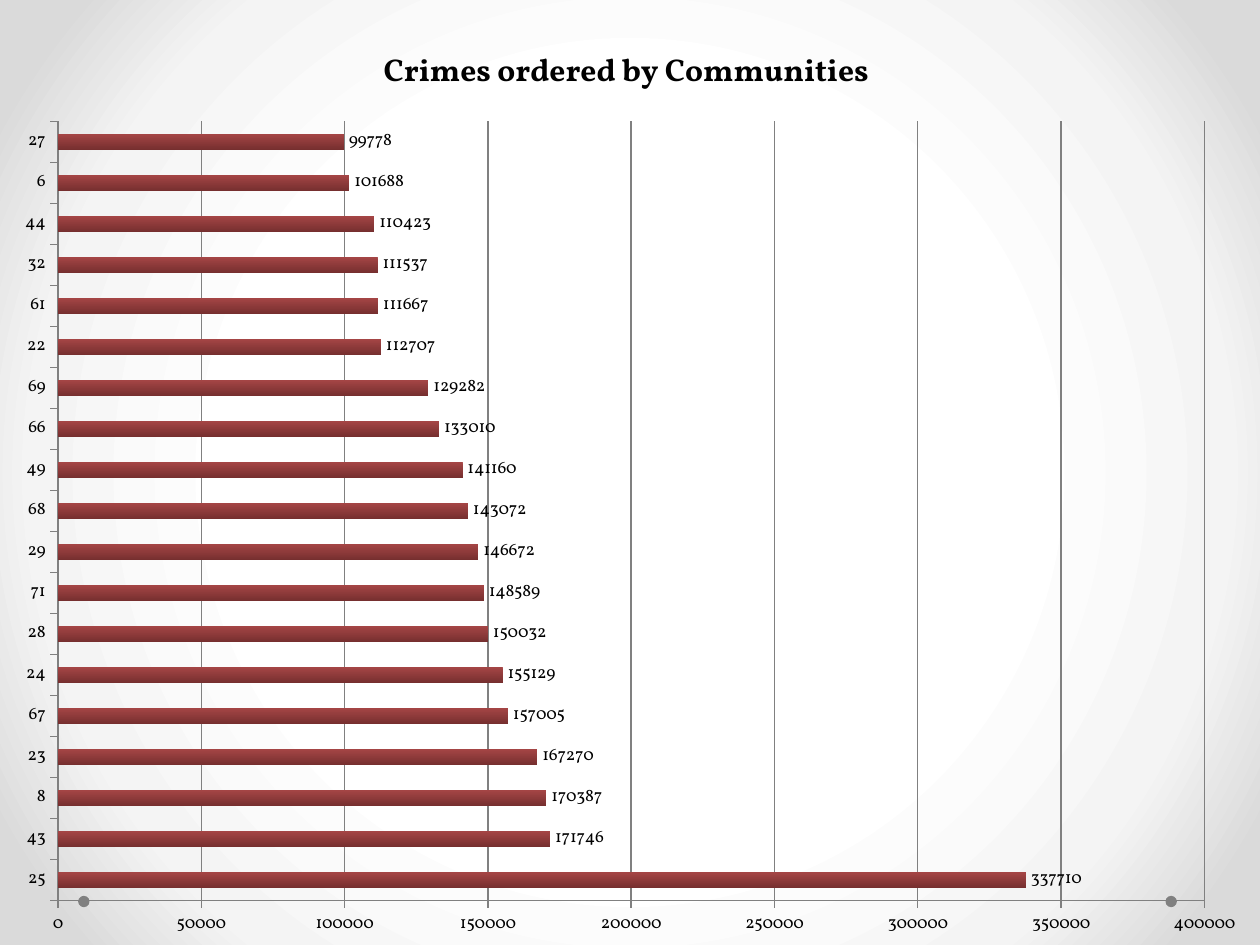
from lxml import etree
from pptx import Presentation
from pptx import util as u
from pptx.chart.data import CategoryChartData
from pptx.dml.color import RGBColor
from pptx.enum import chart as chart_enum
from pptx.enum import shapes
from pptx.oxml import parse_xml
from pptx.oxml.ns import nsdecls, qn

BLACK = RGBColor(0x00, 0x00, 0x00)
GRAY = RGBColor(0x80, 0x80, 0x80)
BAR_TOP = RGBColor(0xA6, 0x46, 0x46)
BAR_BOTTOM = RGBColor(0x76, 0x2F, 0x2F)
BACKGROUND_STOPS = {
    50: RGBColor(0xFF, 0xFF, 0xFF),
    76: RGBColor(0xF4, 0xF4, 0xF4),
    92: RGBColor(0xDA, 0xDA, 0xDA),
}
FONT = "Vollkorn"
TITLE = "Crimes ordered by Communities"
CRIMES = {
    "25": 337710, "43": 171746, "8": 170387, "23": 167270, "67": 157005,
    "24": 155129, "28": 150032, "71": 148589, "29": 146672, "68": 143072,
    "49": 141160, "66": 133010, "69": 129282, "22": 112707, "61": 111667,
    "32": 111537, "44": 110423, "6": 101688, "27": 99778,
}


def apply_format(target, values):
    for name, value in values.items():
        setattr(target, name, value)


def set_font(font, size, bold=False):
    apply_format(font, {"name": FONT, "size": u.Pt(size), "bold": bold})
    font.color.rgb = BLACK


def set_line(line):
    line.color.rgb = GRAY
    line.width = u.Pt(0.75)


def set_background(slide):
    slide.background.fill.solid()
    properties = slide.background.fill._xPr
    stops = "".join(
        f'<a:gs pos="{position * 1000}"><a:srgbClr val="{color}"/></a:gs>'
        for position, color in BACKGROUND_STOPS.items()
    )
    gradient = parse_xml(
        f'<a:gradFill {nsdecls("a")} rotWithShape="1"><a:gsLst>{stops}</a:gsLst>'
        '<a:path path="circle"><a:fillToRect l="50000" t="50000" r="50000" b="50000"/>'
        "</a:path></a:gradFill>"
    )
    properties.replace(properties.find(qn("a:solidFill")), gradient)


def add_dot(slide, left):
    shape = slide.shapes.add_shape(
        shapes.MSO_SHAPE.OVAL, u.Inches(left), u.Inches(7.11), u.Inches(0.09), u.Inches(0.09)
    )
    shape.shadow.inherit = False
    shape.fill.solid()
    shape.fill.fore_color.rgb = GRAY
    shape.line.fill.background()


def set_layout(parent, values, following):
    for old in parent.findall(qn("c:layout")):
        parent.remove(old)
    layout = etree.Element(qn("c:layout"))
    manual = etree.SubElement(layout, qn("c:manualLayout"))
    for name, value in values.items():
        etree.SubElement(manual, qn(f"c:{name}")).set("val", str(value))
    parent.find(qn(following)).addprevious(layout)


def style_title(chart):
    chart.has_title = True
    frame = chart.chart_title.text_frame
    frame.text = TITLE
    set_font(frame.paragraphs[0].runs[0].font, 18, True)
    chart.chart_title.include_in_layout = False
    set_layout(
        chart.chart_title._element,
        {"xMode": "edge", "yMode": "edge", "x": 0.3, "y": 0.03},
        "c:overlay",
    )


def style_axes(chart):
    for axis in (chart.category_axis, chart.value_axis):
        axis.major_tick_mark = chart_enum.XL_TICK_MARK.OUTSIDE
        set_font(axis.tick_labels.font, 10)
        set_line(axis.format.line)
    apply_format(
        chart.value_axis,
        {"minimum_scale": 0, "maximum_scale": 400000, "major_unit": 50000,
         "has_major_gridlines": True},
    )
    set_line(chart.value_axis.major_gridlines.format.line)


def style_bars(plot):
    apply_format(plot, {"gap_width": 150, "vary_by_categories": False, "has_data_labels": True})
    apply_format(
        plot.data_labels,
        {"show_value": True, "position": chart_enum.XL_LABEL_POSITION.OUTSIDE_END},
    )
    set_font(plot.data_labels.font, 10)
    fill = plot.series[0].format.fill
    fill.gradient()
    fill.gradient_angle = 270
    for stop, color in zip(fill.gradient_stops, (BAR_TOP, BAR_BOTTOM)):
        stop.color.rgb = color


def add_crime_chart(slide):
    data = CategoryChartData()
    data.categories = list(CRIMES)
    data.add_series("Series 1", list(CRIMES.values()))
    chart = slide.shapes.add_chart(
        chart_enum.XL_CHART_TYPE.BAR_CLUSTERED,
        u.Inches(0), u.Inches(0.11), u.Inches(10), u.Inches(7.48), data,
    ).chart
    chart.has_legend = False
    set_font(chart.font, 10)
    style_title(chart)
    style_axes(chart)
    style_bars(chart.plots[0])
    set_layout(
        chart._chartSpace.chart.plotArea,
        {"layoutTarget": "inner", "xMode": "edge", "yMode": "edge",
         "x": 0.046, "y": 0.114, "w": 0.91, "h": 0.827},
        "c:barChart",
    )


def main():
    presentation = Presentation()
    apply_format(presentation, {"slide_width": u.Inches(10), "slide_height": u.Inches(7.5)})
    slide = presentation.slides.add_slide(presentation.slide_layouts[6])
    set_background(slide)
    for left in (9.25, 0.62):
        add_dot(slide, left)
    add_crime_chart(slide)
    presentation.save("out.pptx")


if __name__ == "__main__":
    main()
